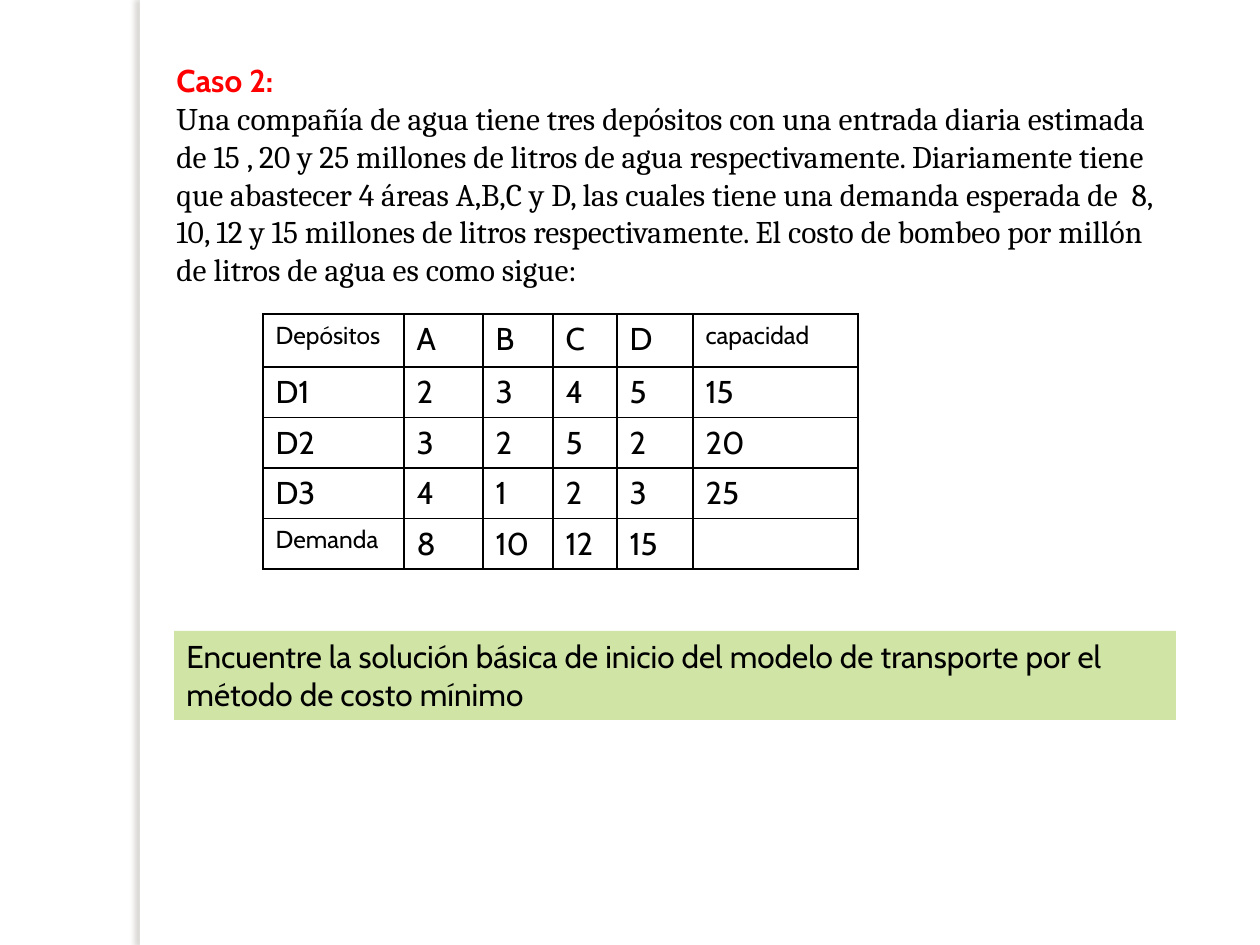
from lxml.etree import SubElement
from pptx import Presentation
from pptx.dml.color import RGBColor
from pptx.enum.shapes import MSO_SHAPE as Shape
from pptx.enum.text import MSO_ANCHOR as Anchor, PP_ALIGN as Align
from pptx.oxml import parse_xml
from pptx.oxml.ns import nsdecls, qn
from pptx.util import Pt

SCALE = 914400 / 126
BODY = {"name": "Cabin", "size": Pt(18), "bold": False, "color": "000000"}
HEADING = {**BODY, "bold": True, "color": "FF0000"}
STATEMENT = {**BODY, "name": "Cambria"}
LABEL = {**BODY, "size": Pt(14)}

CASE = [
    ("Caso 2:", HEADING),
    ("Una compañía de agua tiene tres depósitos con una entrada diaria estimada de 15 , 20 y 25 "
     "millones de litros de agua respectivamente. Diariamente tiene que abastecer 4 áreas A,B,C y D, "
     "las cuales tiene una demanda esperada de  8,  10, 12 y 15 millones de litros respectivamente. "
     "El costo de bombeo por millón de litros de agua es como sigue:", STATEMENT),
]
TASK = [("Encuentre la solución básica de inicio del modelo de transporte por el "
         "método de costo mínimo", BODY)]
COSTS = [
    ["Depósitos", "A", "B", "C", "D", "capacidad"],
    ["D1", "2", "3", "4", "5", "15"],
    ["D2", "3", "2", "5", "2", "20"],
    ["D3", "4", "1", "2", "3", "25"],
    ["Demanda", "8", "10", "12", "15", ""],
]
LABELS = {"Depósitos", "capacidad", "Demanda"}


def px(*lengths):
    """Turn pixel lengths into EMU."""
    return [round(length * SCALE) for length in lengths]


def rgb(value):
    """Turn a hex string into a colour."""
    return RGBColor.from_string(value)


class SlideBuilder:
    """Hold the style and the current slide."""

    def __init__(self, presentation):
        """Start a blank slide."""
        self.slide = presentation.slides.add_slide(presentation.slide_layouts[6])

    def fill_text(self, frame, paragraphs):
        """Fill a text frame with formatted paragraphs."""
        frame.word_wrap = True
        for index, (text, style) in enumerate(paragraphs):
            paragraph = frame.add_paragraph() if index else frame.paragraphs[0]
            paragraph.alignment = Align.LEFT
            font = paragraph.font
            if text:
                run = paragraph.add_run()
                run.text = text
                font = run.font
            for name, value in style.items():
                if name == "color":
                    font.color.rgb = rgb(value)
                else:
                    setattr(font, name, value)

    def text(self, box, paragraphs):
        """Add a text box."""
        self.fill_text(self.slide.shapes.add_textbox(*px(*box)).text_frame, paragraphs)

    def panel(self, box, fill, paragraphs=()):
        """Add a plain filled rectangle."""
        shape = self.slide.shapes.add_shape(Shape.RECTANGLE, *px(*box))
        shape.shadow.inherit = False
        shape.fill.solid()
        shape.fill.fore_color.rgb = rgb(fill)
        shape.line.fill.background()
        shape.text_frame.vertical_anchor = Anchor.TOP
        self.fill_text(shape.text_frame, paragraphs)
        return shape

    def shadow(self, shape, color, opacity, blur, distance, degrees):
        """Give a shape an outer shadow."""
        effects = shape._element.spPr.find(qn("a:effectLst"))
        effects.append(parse_xml(
            f'<a:outerShdw {nsdecls("a")} blurRad="{Pt(blur)}" dist="{Pt(distance)}" '
            f'dir="{degrees * 60000}" algn="ctr" rotWithShape="0"><a:srgbClr val="{color}">'
            f'<a:alpha val="{opacity * 1000}"/></a:srgbClr></a:outerShdw>'))

    def border(self, cell, color):
        """Draw all four borders of an unfilled cell."""
        properties = cell._tc.get_or_add_tcPr()
        for side in ("lnL", "lnR", "lnT", "lnB"):
            line = SubElement(properties, qn(f"a:{side}"), w=str(Pt(1)))
            SubElement(SubElement(line, qn("a:solidFill")), qn("a:srgbClr"), val=color)
        cell.fill.background()

    def table(self, left, top, widths, heights, rows):
        """Add a bordered table."""
        box = px(left, top, sum(widths), sum(heights))
        table = self.slide.shapes.add_table(len(rows), len(widths), *box).table
        table.first_row = table.horz_banding = False
        for column, width in zip(table.columns, px(*widths)):
            column.width = width
        for row, height, values in zip(table.rows, px(*heights), rows):
            row.height = height
            for cell, value in zip(row.cells, values):
                self.fill_text(cell.text_frame, [(value, LABEL if value in LABELS else BODY)])
                self.border(cell, "000000")


def main():
    """Build and save the slide."""
    presentation = Presentation()
    presentation.slide_width, presentation.slide_height = px(1260, 945)
    builder = SlideBuilder(presentation)
    strip = builder.panel((140, 0, 10, 945), "FFFFFF")
    builder.shadow(strip, "736F63", 25, 3, 3, 180)
    builder.text((164, 55, 1022, 280), CASE)
    builder.table(263, 314, [141, 79, 70, 64, 76, 165], [53] + [50] * 4, COSTS)
    builder.panel((174, 631, 1002, 89), "D0E4A6", TASK)
    presentation.save("out.pptx")


if __name__ == "__main__":
    main()
